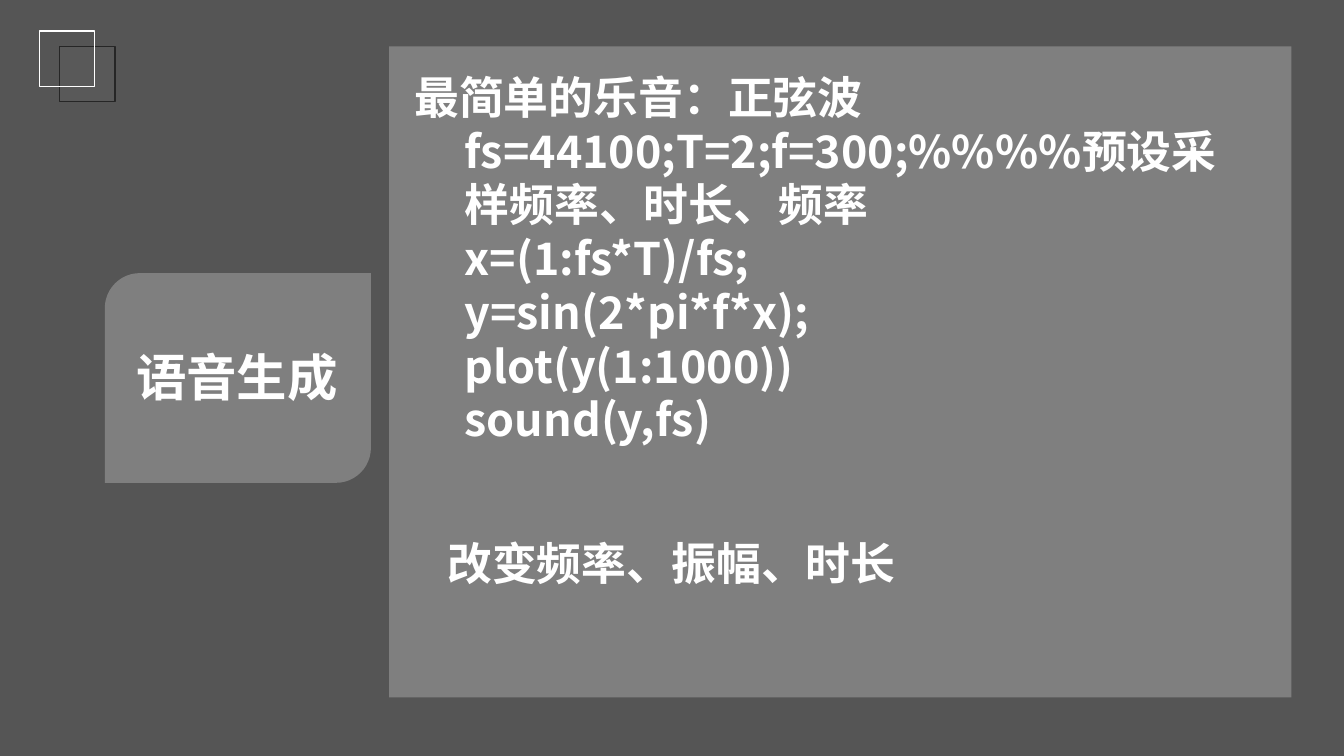
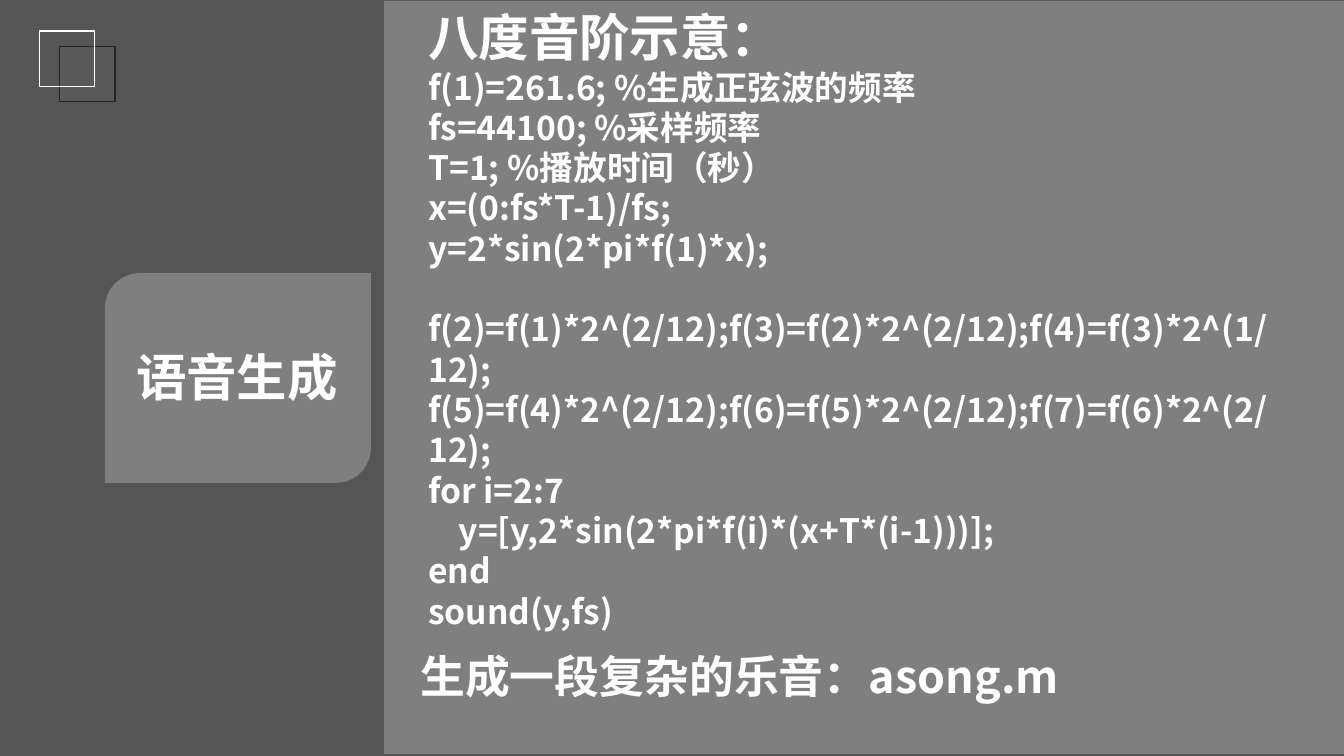
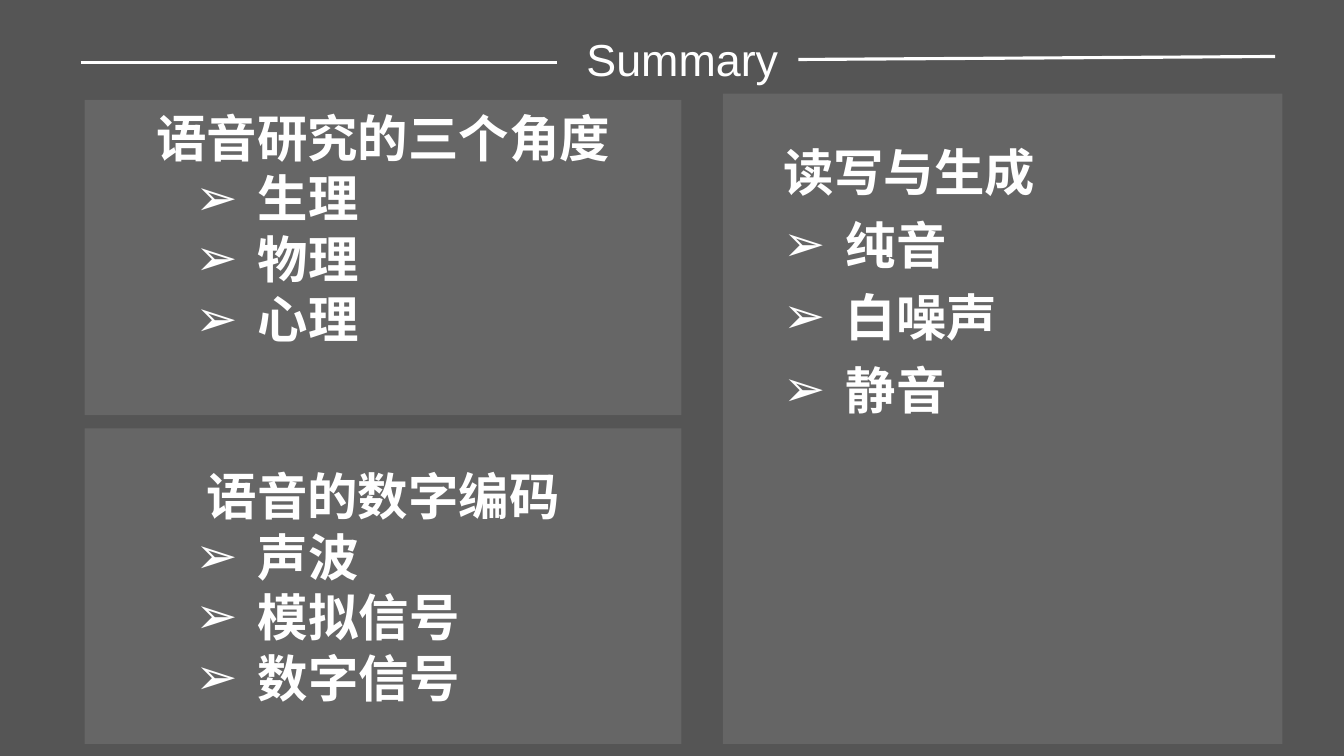
import pptx
import pptx.util
import pptx.dml.color
import pptx.enum.shapes
import pptx.enum.text
import pptx.oxml
import pptx.oxml.ns
import lxml.etree

# Shared look
WHITE = pptx.dml.color.RGBColor(0xFF, 0xFF, 0xFF)
PALE = pptx.dml.color.RGBColor(0xF2, 0xF2, 0xF2)
BACKDROP = pptx.dml.color.RGBColor(0x55, 0x55, 0x55)
SQUARE_FILL = pptx.dml.color.RGBColor(0x59, 0x59, 0x59)
SQUARE_EDGE = pptx.dml.color.RGBColor(0x26, 0x26, 0x26)
HAN_FONT = "Noto Sans CJK SC"
LATIN_FONT = "Arial"
SHAPES = pptx.enum.shapes.MSO_SHAPE
ALIGN = pptx.enum.text.PP_ALIGN
ANCHOR = pptx.enum.text.MSO_ANCHOR
Pt = pptx.util.Pt
Inches = pptx.util.Inches
qn = pptx.oxml.ns.qn

deck = pptx.Presentation()
deck.slide_width = Inches(13.33)
deck.slide_height = Inches(7.5)
COL = deck.slide_width / 100  # lengths are given in hundredths of the slide
ROW = deck.slide_height / 100
backdrop = deck.slide_master.background.fill
backdrop.solid()
backdrop.fore_color.rgb = BACKDROP


def add_block(slide, kind, area, fill=None, opacity=100, edge=None):
    """Add a shape whose area is (left, top, width, height) in hundredths."""
    left, top, width, height = area
    block = slide.shapes.add_shape(kind, int(left * COL), int(top * ROW),
                                   int(width * COL), int(height * ROW))
    block.shadow.inherit = False
    if fill is None:
        block.fill.background()
    else:
        block.fill.solid()
        block.fill.fore_color.rgb = fill
        if opacity < 100:
            tint = block.fill._xPr.find(qn("a:solidFill"))[0]
            lxml.etree.SubElement(tint, qn("a:alpha"), val=str(opacity * 1000))
    if edge is None:
        block.line.fill.background()
    else:
        block.line.color.rgb = edge
        block.line.width = Pt(1)
    return block


def write(frame, lines, size, font=HAN_FONT, bold=True, align=ALIGN.LEFT,
          indent=0, bullet_indent=None, spacing=None):
    """Fill a frame; with bullet_indent, all lines after the first are bulleted."""
    frame.word_wrap = True
    for number, line in enumerate(lines):
        paragraph = frame.paragraphs[0] if number == 0 else frame.add_paragraph()
        paragraph.text = line
        paragraph.alignment = align
        if spacing:
            paragraph.line_spacing = spacing
        properties = paragraph._p.get_or_add_pPr()
        properties.set("marL", str(Inches(indent)))
        properties.set("indent", "0")
        if bullet_indent and number:
            paragraph.alignment = ALIGN.LEFT
            properties.set("marL", str(Inches(bullet_indent)))
            properties.set("indent", str(-Inches(0.62)))
            lxml.etree.SubElement(properties, qn("a:buFont"), typeface=LATIN_FONT)
            lxml.etree.SubElement(properties, qn("a:buChar"), char="➢")
        for run in paragraph.runs:
            run.font.size = Pt(size)
            run.font.bold = bold
            run.font.name = font
            run.font.color.rgb = WHITE
            lxml.etree.SubElement(run._r.get_or_add_rPr(), qn("a:ea"),
                                  typeface=HAN_FONT)


# Slides 1 and 2: section label on the left, code panel on the right
sine_code = [
    "最简单的乐音：正弦波",
    "fs=44100;T=2;f=300;%%%%预设采样频率、时长、频率",
    "x=(1:fs*T)/fs;",
    "y=sin(2*pi*f*x);",
    "plot(y(1:1000))",
    "sound(y,fs)",
]
scale_code = [
    "八度音阶示意：",
    "f(1)=261.6; %生成正弦波的频率",
    "fs=44100; %采样频率",
    "T=1; %播放时间（秒）",
    "x=(0:fs*T-1)/fs;",
    "y=2*sin(2*pi*f(1)*x);",
    "f(2)=f(1)*2^(2/12);f(3)=f(2)*2^(2/12);f(4)=f(3)*2^(1/12);",
    "f(5)=f(4)*2^(2/12);f(6)=f(5)*2^(2/12);f(7)=f(6)*2^(2/12);",
    "for i=2:7",
    "    y=[y,2*sin(2*pi*f(i)*(x+T*(i-1)))];",
    "end",
    "sound(y,fs)",
]
# panel area, code area, code lines, code size, code indent, closing area, closing
code_slides = [
    ((28.95, 6.13, 67.13, 86.13), (30.08, 8.53, 63.15, 52.27), sine_code, 32, 0.5,
     (32.55, 70.27, 64.58, 17.33), "改变频率、振幅、时长"),
    ((28.58, 0.13, 71.42, 99.6), (29.25, 0.13, 67.05, 78.93), scale_code, 24, 0.25,
     (30.53, 85.2, 63.53, 13.47), "生成一段复杂的乐音：asong.m"),
]
code_frames = []
for panel, code_area, code, size, indent, closing_area, closing in code_slides:
    slide = deck.slides.add_slide(deck.slide_layouts[6])
    # Overlapping corner squares
    add_block(slide, SHAPES.RECTANGLE, (4.43, 6.13, 4.13, 7.33),
              SQUARE_FILL, edge=SQUARE_EDGE)
    add_block(slide, SHAPES.RECTANGLE, (2.93, 4.13, 4.13, 7.33), edge=WHITE)
    add_block(slide, SHAPES.ROUND_2_DIAG_RECTANGLE, (7.8, 36.13, 19.8, 27.73),
              WHITE, opacity=25)
    add_block(slide, SHAPES.RECTANGLE, panel, WHITE, opacity=25)
    # Section label, code and closing line
    texts = [
        ((7.8, 45.07, 19.65, 6.4), ["语音生成"], 36, ALIGN.CENTER, 0),
        (code_area, code, size, ALIGN.LEFT, indent),
        (closing_area, [closing], 32, ALIGN.LEFT, 0),
    ]
    for (left, top, width, height), lines, points, align, margin in texts:
        box = slide.shapes.add_textbox(int(left * COL), int(top * ROW),
                                       int(width * COL), int(height * ROW))
        write(box.text_frame, lines, points, align=align, indent=margin)
        if lines is code:
            code_frames.append(box.text_frame)

# The first heading stands at the margin; the second is larger than its code
sine_frame, scale_frame = code_frames
sine_frame.paragraphs[0]._p.get_or_add_pPr().set("marL", "0")
scale_frame.paragraphs[0].runs[0].font.size = Pt(36)
scale_frame.paragraphs[6].space_before = Pt(28.8)

# Slide 3: summary title between two rules
summary = deck.slides.add_slide(deck.slide_layouts[6])
title = summary.shapes.add_textbox(int(38.78 * COL), int(4.13 * ROW),
                                   int(24 * COL), int(7.2 * ROW)).text_frame
title.margin_left = title.margin_right = title.margin_top = title.margin_bottom = 0
title.vertical_anchor = ANCHOR.MIDDLE
write(title, ["Summary"], 32, LATIN_FONT, bold=False, align=ALIGN.CENTER)
for start, start_row, end_row in [(6, 8.27, 8.27), (59.4, 7.87, 7.47)]:
    rule = summary.shapes.add_connector(
        pptx.enum.shapes.MSO_CONNECTOR.STRAIGHT, int(start * COL),
        int(start_row * ROW), int((start + 35.48) * COL), int(end_row * ROW))
    rule.line.color.rgb = WHITE
    rule.line.width = Pt(2.25)
    lxml.etree.SubElement(rule._element.spPr, qn("a:effectLst"))

# Summary cards: area, fill, top inset (None centres the text), lines, text format
left_card = dict(font=LATIN_FONT, align=ALIGN.CENTER, bullet_indent=1.62)
right_card = dict(indent=0.5, bullet_indent=1.12, spacing=1.2)
cards = [
    ((6.3, 56.67, 44.4, 41.73), WHITE, None,
     ["语音的数字编码", "声波", "模拟信号", "数字信号"], left_card),
    ((53.78, 12.4, 41.63, 86), PALE, 0.35,
     ["读写与生成", "纯音", "白噪声", "静音"], right_card),
    ((6.3, 13.2, 44.4, 41.73), WHITE, 0.07,
     ["语音研究的三个角度", "生理", "物理", "心理"], left_card),
]
for area, fill, inset, lines, text_format in cards:
    card = add_block(summary, SHAPES.RECTANGLE, area, fill, opacity=10).text_frame
    card.vertical_anchor = ANCHOR.MIDDLE
    if inset is not None:
        card.vertical_anchor = ANCHOR.TOP
        card.margin_top = Inches(inset)
    write(card, lines, 36, **text_format)

deck.save("out.pptx")
